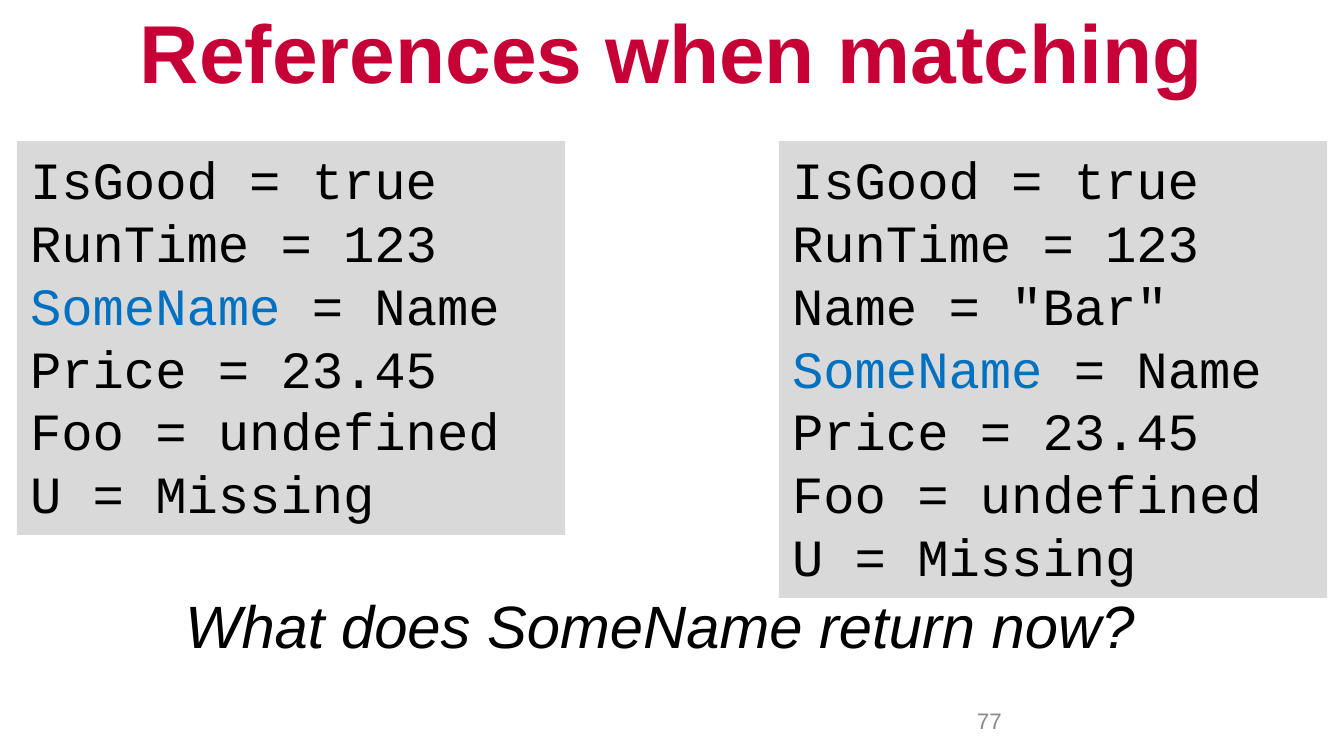
import pptx
import pptx.dml.color
import pptx.enum.shapes
import pptx.enum.text
import pptx.util

PX = pptx.util.Inches(1) // 200
ANCHOR = pptx.enum.text.MSO_ANCHOR
ALIGN = pptx.enum.text.PP_ALIGN
BLACK, CRIMSON, BLUE = "000000", "C60036", "0070C0"
PANEL, GREY = "D9D9D9", "898989"
CODE_SIZE = 28
REFERENCE = [("SomeName", BLUE), (" = Name", BLACK)]


def color(value):
    return pptx.dml.color.RGBColor.from_string(value)


def scaled(box):
    return [length * PX for length in box]


def add_span(para, text, size, ink, font="Arial", bold=False, italic=False):
    span = para.add_run()
    span.text = text
    span.font.name = font
    span.font.size = pptx.util.Pt(size)
    span.font.bold = bold
    span.font.italic = italic
    span.font.color.rgb = color(ink)


def add_text_line(page, box, anchor=ANCHOR.TOP):
    """Add a wrapping text box and return its only paragraph."""
    frame = page.shapes.add_textbox(*scaled(box)).text_frame
    frame.word_wrap = True
    frame.vertical_anchor = anchor
    return frame.paragraphs[0]


def add_title(page, box, text):
    para = add_text_line(page, box, ANCHOR.MIDDLE)
    para.alignment = ALIGN.CENTER
    add_span(para, text, 44, CRIMSON, bold=True)


def add_question(page, box, text):
    para = add_text_line(page, box)
    para.space_before = pptx.util.Pt(4)
    add_span(para, text, 32, BLACK, italic=True)


def add_page_number(page, box, text):
    add_span(add_text_line(page, box), text, 12, GREY)


def add_code_panel(page, box, lines):
    """Each line is a list of (text, colour) spans."""
    panel = page.shapes.add_shape(
        pptx.enum.shapes.MSO_SHAPE.RECTANGLE, *scaled(box))
    panel.shadow.inherit = False
    panel.fill.solid()
    panel.fill.fore_color.rgb = color(PANEL)
    panel.line.fill.background()
    frame = panel.text_frame
    frame.word_wrap = True
    frame.vertical_anchor = ANCHOR.TOP
    for index, line in enumerate(lines):
        para = frame.add_paragraph() if index else frame.paragraphs[0]
        para.alignment = ALIGN.LEFT
        para.line_spacing = pptx.util.Pt(CODE_SIZE * 1.2)
        for text, ink in line:
            add_span(para, text, CODE_SIZE, ink, font="Courier New")


def plain(*texts):
    return [[(text, BLACK)] for text in texts]


def main():
    deck = pptx.Presentation()
    deck.slide_width, deck.slide_height = scaled((2000, 1125))
    page = deck.slides.add_slide(deck.slide_layouts[6])

    opening = plain("IsGood = true", "RunTime = 123")
    closing = [REFERENCE] + plain(
        "Price = 23.45", "Foo = undefined", "U = Missing")

    add_question(page, (256, 867, 1534, 608),
                 "What does SomeName return now?")
    add_title(page, (0, 0, 2000, 150), "References when matching")
    add_page_number(page, (1434, 1043, 466, 60), "77")
    add_code_panel(page, (25, 210, 816, 586), opening + closing)
    add_code_panel(page, (1159, 210, 816, 680),
                   opening + plain('Name = "Bar"') + closing)
    deck.save("out.pptx")


if __name__ == "__main__":
    main()
